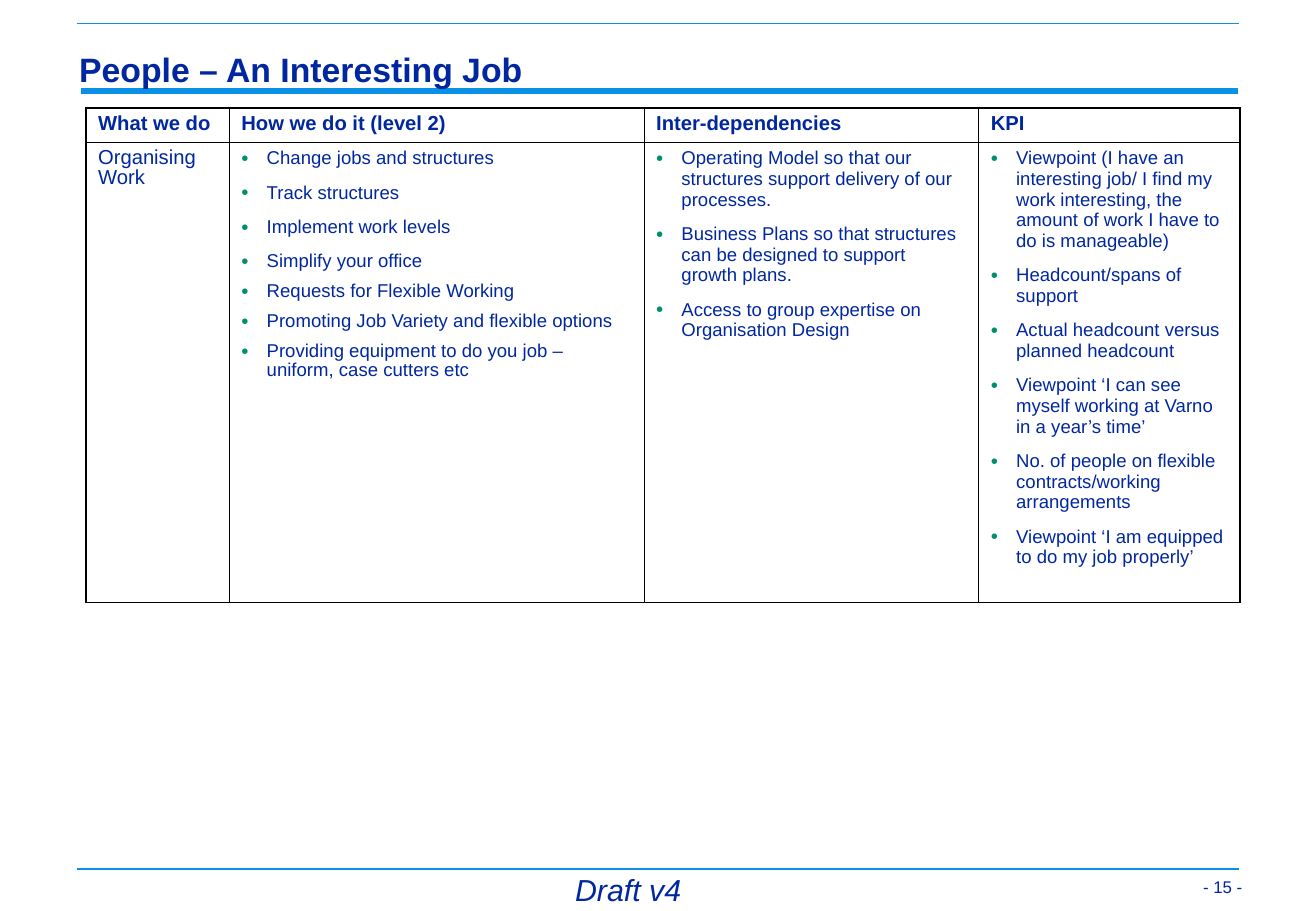
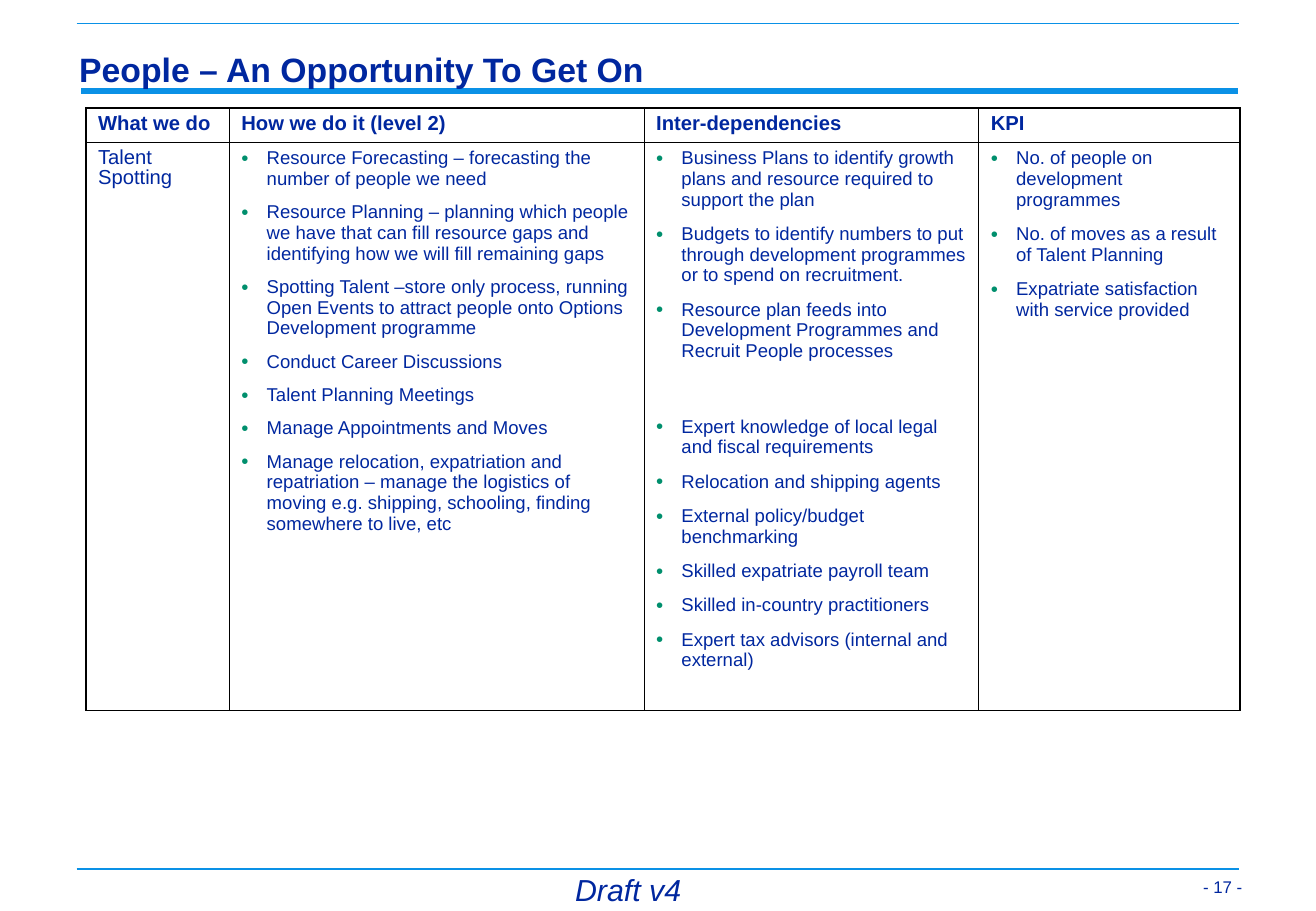
from lxml.etree import SubElement
from pptx import Presentation
from pptx.dml.color import RGBColor
from pptx.enum.shapes import MSO_CONNECTOR
from pptx.enum.text import MSO_ANCHOR, PP_ALIGN
from pptx.oxml.ns import qn
from pptx.util import Pt

FONT = "Arial"
COLORS = {"text": "00279F", "rule": "0A91E6", "bullet": "008F6D", "grid": "000000"}

# line spacing, space before, space after
GAPS = {
    "loose": (1.0, 7.5, 0.6),
    "plain": (1.0, 7.5, 0),
    "tight": (0.9, 6.1, 0.6),
    "apart": (1.0, 32.1, 0.6),
}

HEADS = ["What we do", "How we do it (level 2)", "Inter-dependencies", "KPI"]
WIDTHS = [85, 246, 198.5, 155]
LEFT, TOP, HEAD_H = 51, 64, 20
THIN, THICK = 0.45, 1.08

# left, right, height on the slide, line width
RULES = [(45.5, 734.7, 14, 1), (48.2, 734, 54, 4), (45.5, 734.7, 515, 1)]

SLIDES = [
    {
        "title": "People – An Interesting Job",
        "page": "- 15 -",
        "height": 273,
        "topic": "Organising Work",
        "lists": [
            [
                ("loose", [
                    "Change jobs and structures",
                    "Track structures",
                    "Implement work levels",
                    "Simplify your office",
                ]),
                ("tight", [
                    "Requests for Flexible Working",
                    "Promoting Job Variety and flexible options",
                    "Providing equipment to do you job – uniform, case cutters etc",
                ]),
            ],
            [("loose", [
                "Operating Model so that our structures support delivery of our processes.",
                "Business Plans so that structures can be designed to support growth plans.",
                "Access to group expertise on Organisation Design",
            ])],
            [("loose", [
                "Viewpoint (I have an interesting job/ I find my work interesting, "
                "the amount of work I have to do is manageable)",
                "Headcount/spans of support",
                "Actual headcount versus planned headcount",
                "Viewpoint ‘I can see myself working at Varno in a year’s time’",
                "No. of people on flexible contracts/working arrangements",
                "Viewpoint ‘I am equipped to do my job properly’",
            ])],
        ],
    },
    {
        "title": "People – An Opportunity To Get On",
        "page": "- 17 -",
        "height": 337,
        "topic": "Talent Spotting",
        "lists": [
            [("plain", [
                "Resource Forecasting – forecasting the number of people we need",
                "Resource Planning – planning which people we have that can fill "
                "resource gaps and identifying how we will fill remaining gaps",
                "Spotting Talent –store only process, running Open Events to attract "
                "people onto Options Development programme",
                "Conduct Career Discussions",
                "Talent Planning Meetings",
                "Manage Appointments and Moves",
                "Manage relocation, expatriation and repatriation – manage the logistics "
                "of moving e.g. shipping, schooling, finding somewhere to live, etc",
            ])],
            [
                ("loose", [
                    "Business Plans to identify growth plans and resource required "
                    "to support the plan",
                    "Budgets to identify numbers to put through development programmes "
                    "or to spend on recruitment.",
                    "Resource plan feeds into Development Programmes and "
                    "Recruit People processes",
                ]),
                ("apart", ["Expert knowledge of local legal and fiscal requirements"]),
                ("loose", [
                    "Relocation and shipping agents",
                    "External policy/budget benchmarking",
                    "Skilled expatriate payroll team",
                    "Skilled in-country practitioners",
                    "Expert tax advisors (internal and external)",
                ]),
            ],
            [("loose", [
                "No. of people on development programmes",
                "No. of moves as a result of Talent Planning",
                "Expatriate satisfaction with service provided",
            ])],
        ],
    },
]


def rgb(name):
    return RGBColor.from_string(COLORS[name])


def style(para, size, bold=False, italic=False, space=1.0):
    para.line_spacing = space
    for run in para.runs:
        font = run.font
        font.name, font.size = FONT, Pt(size)
        font.bold, font.italic = bold, italic
        font.color.rgb = rgb("text")


def add_text(slide, text, box, inset, anchor, align, **look):
    frame = slide.shapes.add_textbox(*map(Pt, box)).text_frame
    frame.word_wrap = True
    frame.vertical_anchor = anchor
    frame.margin_left = frame.margin_right = Pt(inset)
    frame.margin_top = frame.margin_bottom = Pt(inset / 2)
    frame.text = text
    para = frame.paragraphs[0]
    para.alignment = align
    style(para, **look)


def add_rule(slide, left, right, y, width):
    rule = slide.shapes.add_connector(
        MSO_CONNECTOR.STRAIGHT, Pt(left), Pt(y), Pt(right), Pt(y))
    rule.line.color.rgb = rgb("rule")
    rule.line.width = Pt(width)
    SubElement(rule.element.spPr, qn("a:effectLst"))


def add_frame(slide, title, page):
    """Draw the rules, title and footer that every slide has."""
    for rule in RULES:
        add_rule(slide, *rule)
    add_text(slide, title, (42, 24.2, 693.4, 31.7), 5, MSO_ANCHOR.BOTTOM,
             PP_ALIGN.LEFT, size=20, bold=True, space=0.97)
    add_text(slide, "Draft v4", (287.3, 515.5, 170.6, 26.6), 7.2, MSO_ANCHOR.TOP,
             PP_ALIGN.CENTER, size=18, italic=True, space=0.9)
    add_text(slide, page, (698.5, 506.4, 43.2, 28), 5, MSO_ANCHOR.BOTTOM,
             PP_ALIGN.RIGHT, size=10)


def add_bullet(para):
    props = para._p.get_or_add_pPr()
    props.set("marL", str(Pt(15)))
    props.set("indent", str(Pt(-15)))
    color = SubElement(props, qn("a:buClr"))
    SubElement(color, qn("a:srgbClr"), val=COLORS["bullet"])
    SubElement(props, qn("a:buSzPct"), val="110000")
    SubElement(props, qn("a:buFont"), typeface=FONT)
    SubElement(props, qn("a:buChar"), char="•")


def fill_list(cell, groups):
    items = [(gap, text) for gap, texts in groups for text in texts]
    frame = cell.text_frame
    frame.text = "\n".join(text for _, text in items)
    for i, (para, (gap, _)) in enumerate(zip(frame.paragraphs, items)):
        space, before, after = GAPS[gap]
        add_bullet(para)
        para.space_before = Pt(before if i else 0)
        para.space_after = Pt(after)
        style(para, 11, space=space)


def add_borders(cell, row, col):
    """Thick lines on the outside of the table, thin ones inside."""
    outer = {"lnL": col == 0, "lnR": col == len(HEADS) - 1,
             "lnT": row == 0, "lnB": row == 1}
    props = cell._tc.get_or_add_tcPr()
    for tag, thick in outer.items():
        line = SubElement(props, qn("a:" + tag), w=str(Pt(THICK if thick else THIN)))
        fill = SubElement(line, qn("a:solidFill"))
        SubElement(fill, qn("a:srgbClr"), val=COLORS["grid"])
    cell.fill.background()


def add_grid(slide, topic, lists, height):
    table = slide.shapes.add_table(
        2, len(HEADS), Pt(LEFT), Pt(TOP), Pt(sum(WIDTHS)), Pt(HEAD_H + height)).table
    table.first_row = table.horz_banding = False
    for row, size in zip(table.rows, (HEAD_H, height)):
        row.height = Pt(size)
    for col, (head, width) in enumerate(zip(HEADS, WIDTHS)):
        table.columns[col].width = Pt(width)
        top, body = table.cell(0, col), table.cell(1, col)
        top.text_frame.text = head
        style(top.text_frame.paragraphs[0], 12, bold=True, space=0.9)
        if col:
            fill_list(body, lists[col - 1])
        else:
            body.text_frame.text = topic
            style(body.text_frame.paragraphs[0], 12, space=0.9)
        for row, cell in enumerate((top, body)):
            add_borders(cell, row, col)


def main():
    deck = Presentation()
    deck.slide_width, deck.slide_height = Pt(780.48), Pt(540)
    for data in SLIDES:
        slide = deck.slides.add_slide(deck.slide_layouts[6])
        add_frame(slide, data["title"], data["page"])
        add_grid(slide, data["topic"], data["lists"], data["height"])
    deck.save("out.pptx")


if __name__ == "__main__":
    main()
